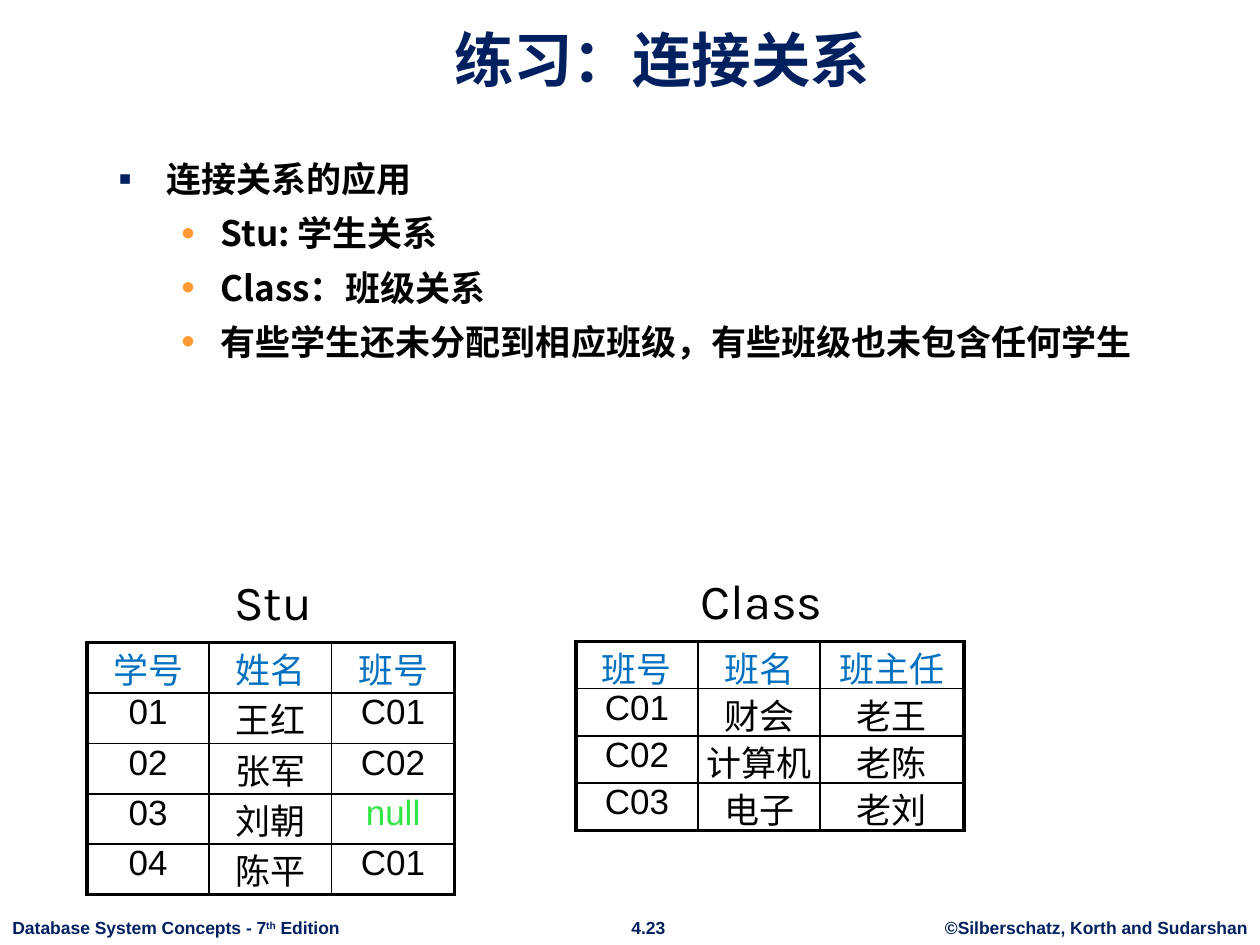
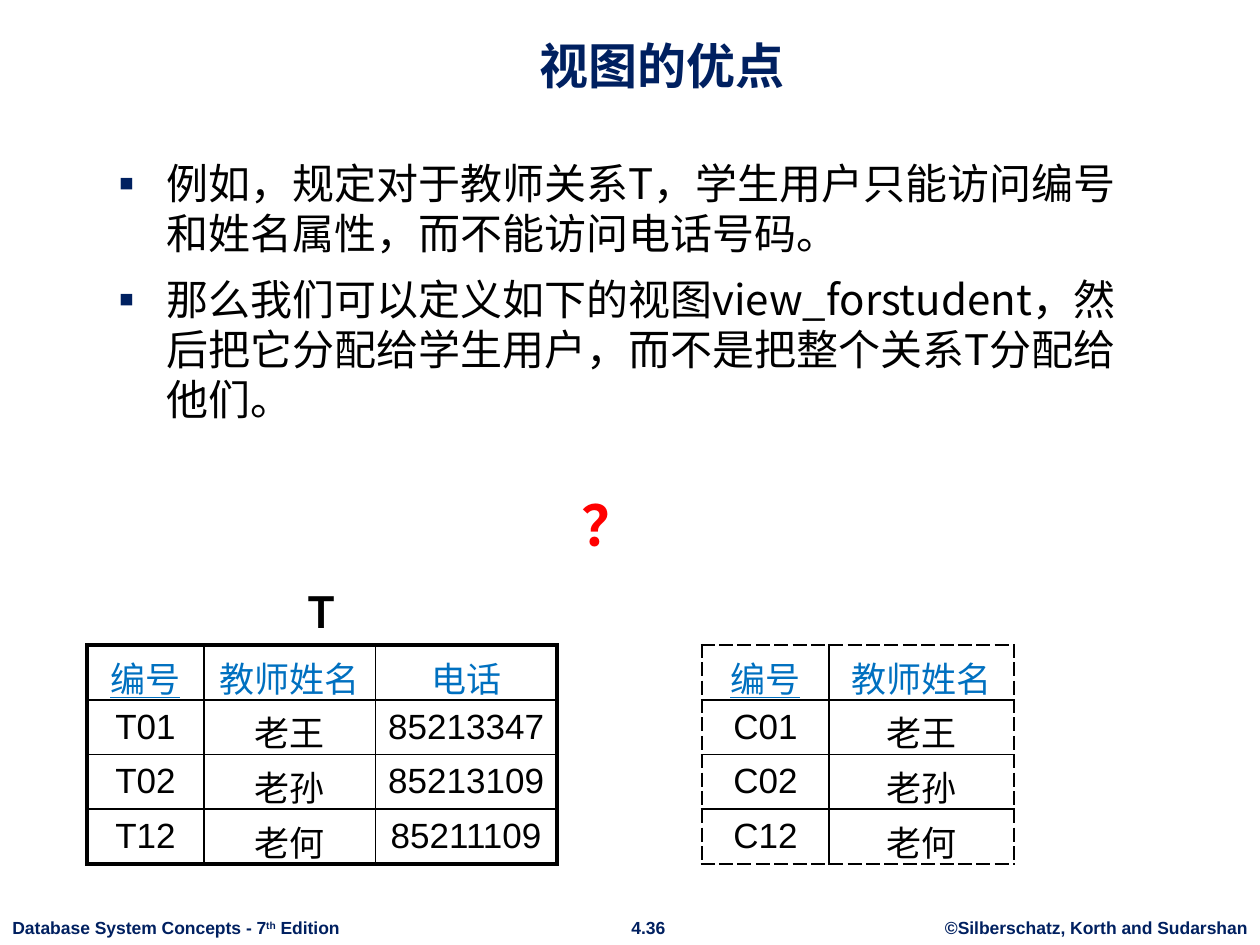
from pptx import Presentation
from pptx.dml.color import RGBColor
from pptx.enum import text as t
from pptx.oxml import ns, parse_xml
from pptx.util import Inches, Pt

# Shared look
NAVY = RGBColor(0x00, 0x20, 0x60)
BLUE = RGBColor(0x00, 0x70, 0xC0)
ORANGE = RGBColor(0xFF, 0x99, 0x33)
GREEN = RGBColor(0x30, 0xE4, 0x44)
RED = RGBColor(0xFF, 0x00, 0x00)
BLACK = RGBColor(0x00, 0x00, 0x00)
WHITE = RGBColor(0xFF, 0xFF, 0xFF)
ARIAL, KARLA, NOTO = "Arial", "Karla", "Noto Sans CJK SC"
CENTER = t.PP_ALIGN.CENTER

# Bullet sign, colour, left margin and hanging indent for each list level
LEVELS = [("▪", NAVY, 0.38, 0.38), ("•", ORANGE, 0.81, 0.31)]


def xml(markup):
    return parse_xml(markup.replace(" ", f" {ns.nsdecls('a')} ", 1))


def style(para, size, font, color, bold=False, align=None):
    if align is not None:
        para.alignment = align
    for span in para.runs:
        span.font.size, span.font.name, span.font.bold = Pt(size), font, bold
        span.font.color.rgb = color


def place(shape, box):
    shape.left, shape.top, shape.width, shape.height = map(Inches, box)


def add_label(page, box, words, size, font, color, bold=False, align=CENTER, wrap=True):
    label = page.shapes.add_textbox(*map(Inches, box))
    label.text_frame.word_wrap = wrap
    para = label.text_frame.paragraphs[0]
    for words_part in words if isinstance(words, list) else [words]:
        para.add_run().text = words_part
    style(para, size, font, color, bold, align)
    return para


def add_footer(page, number):
    def note(left, width, words, align=CENTER):
        return add_label(page, (left, 7.23, width, 0.27), words, 10, ARIAL, NAVY,
                         True, align, wrap=False)

    note(7.4, 2.6, "©Silberschatz, Korth and Sudarshan")
    note(4.9, 0.49, number)
    edition = note(0, 2.81, ["Database System Concepts - 7", "th", " Edition"],
                   t.PP_ALIGN.LEFT)
    edition.runs[1].font._element.set("baseline", "30000")


def fill_title(page, words, size):
    title = page.shapes.title
    place(title, (0.84, 0.13, 8.83, 0.67))
    frame = title.text_frame
    frame.text = words
    frame.auto_size = t.MSO_AUTO_SIZE.NONE
    frame.vertical_anchor = t.MSO_ANCHOR.BOTTOM
    style(frame.paragraphs[0], size, ARIAL, NAVY, True, CENTER)


def fill_list(page, items, size, bold=False):
    body = page.placeholders[1]
    place(body, (0.84, 1.2, 8.43, 5.36))
    frame = body.text_frame
    frame.text = "\n".join(words for _, words in items)
    frame.auto_size = t.MSO_AUTO_SIZE.NONE
    for para, (level, _) in zip(frame.paragraphs, items):
        sign, color, margin, hang = LEVELS[level]
        para.level = level
        para.space_before = Pt(0.35 * size)
        style(para, size, NOTO, BLACK, bold, t.PP_ALIGN.LEFT)
        props = para._p.get_or_add_pPr()
        props.set("marL", str(Inches(margin)))
        props.set("indent", str(-Inches(hang)))
        for markup in (f'<a:buClr ><a:srgbClr val="{color}"/></a:buClr>',
                       '<a:buSzPct val="110000"/>',
                       '<a:buFont typeface="Arial"/>',
                       f'<a:buChar char="{sign}"/>'):
            props.append(xml(markup))
        for span in para.runs:
            span.font._element.append(xml(f'<a:ea typeface="{NOTO}"/>'))


def set_borders(cell, outer_sides, outer_width, dash):
    props = cell._tc.get_or_add_tcPr()
    for spot, side in enumerate("LRTB"):
        outer = side in outer_sides
        width = Pt(outer_width if outer else 1)
        props.insert(spot, xml(
            f'<a:ln{side} w="{width}"><a:solidFill><a:srgbClr val="{BLACK}"/></a:solidFill>'
            f'<a:prstDash val="{dash if outer else "solid"}"/></a:ln{side}>'))


def add_relation(page, left, top, widths, row_height, rows, inset=(0, 0),
                 anchor=t.MSO_ANCHOR.TOP, outer_width=2.25, dash="solid", key=None):
    """Table with a blue heading row and a heavier outer frame."""
    count = len(rows)
    table = page.shapes.add_table(count, len(widths), Inches(left), Inches(top),
                                  Inches(sum(widths)), Inches(row_height * count)).table
    table.horz_banding = table.first_row = False
    for column, width in zip(table.columns, widths):
        column.width = Inches(width)
    for r, row in enumerate(rows):
        table.rows[r].height = Inches(row_height)
        for c, words in enumerate(row):
            cell = table.cell(r, c)
            cell.margin_left = cell.margin_right = Inches(inset[0])
            cell.margin_top = cell.margin_bottom = Inches(inset[1])
            cell.vertical_anchor = anchor
            cell.text_frame.text = words
            para = cell.text_frame.paragraphs[0]
            color = BLUE if r == 0 else GREEN if words == "null" else BLACK
            style(para, 20, ARIAL, color, align=CENTER)
            if r == 0 and c == key:
                para.runs[0].font.underline = True
            cell.fill.solid()
            cell.fill.fore_color.rgb = WHITE
            sides = {"L": c == 0, "R": c == len(widths) - 1, "T": r == 0, "B": r == count - 1}
            set_borders(cell, [s for s in sides if sides[s]], outer_width, dash)


def start_page(deck, title, title_size, number):
    page = deck.slides.add_slide(deck.slide_layouts[1])
    add_footer(page, number)
    fill_title(page, title, title_size)
    return page


def build_join_page(deck):
    page = start_page(deck, "练习：连接关系", 34, "4.23")
    fill_list(page, [(0, "连接关系的应用"), (1, "Stu: 学生关系"), (1, "Class：班级关系"),
                     (1, "有些学生还未分配到相应班级，有些班级也未包含任何学生")], 20, True)
    # Student relation
    add_relation(page, 0.69, 5.1, [0.97, 0.97, 0.98], 0.4, [
        ("学号", "姓名", "班号"), ("01", "王红", "C01"), ("02", "张军", "C02"),
        ("03", "刘朝", "null"), ("04", "陈平", "C01")])
    add_label(page, (1.54, 4.49, 1.25, 0.57), "Stu", 28, KARLA, BLACK)
    # Class relation
    add_relation(page, 4.57, 5.09, [0.97, 0.97, 1.14], 0.375, [
        ("班号", "班名", "班主任"), ("C01", "财会", "老王"),
        ("C02", "计算机", "老陈"), ("C03", "电子", "老刘")])
    add_label(page, (5.42, 4.48, 1.25, 0.57), "Class", 28, KARLA, BLACK)


def build_view_page(deck):
    page = start_page(deck, "视图的优点", 28, "4.36")
    fill_list(page, [
        (0, "例如，规定对于教师关系T，学生用户只能访问编号和姓名属性，而不能访问电话号码。"),
        (0, "那么我们可以定义如下的视图view_forstudent，然后把它分配给学生用户，"
            "而不是把整个关系T分配给他们。")], 24)
    shared = dict(inset=(0.04, 0.05), anchor=t.MSO_ANCHOR.MIDDLE, key=0)
    # Teacher relation
    add_label(page, (1.77, 4.55, 1.56, 0.57), "T", 28, KARLA, BLACK, True)
    add_relation(page, 0.69, 5.12, [0.93, 1.36, 1.44], 0.43, [
        ("编号", "教师姓名", "电话"), ("T01", "老王", "85213347"),
        ("T02", "老孙", "85213109"), ("T12", "老何", "85211109")], **shared)
    # Dashed view of the teacher relation
    add_relation(page, 5.57, 5.12, [1.01, 1.47], 0.43, [
        ("编号", "教师姓名"), ("C01", "老王"), ("C02", "老孙"), ("C12", "老何")],
        outer_width=1.5, dash="lgDash", **shared)
    question = add_label(page, (4.51, 3.76, 0.65, 0.65), "？", 32, KARLA, RED, True, wrap=False)
    question.line_spacing = 1.15


def main():
    deck = Presentation()
    deck.slide_width, deck.slide_height = Inches(10), Inches(7.5)
    build_join_page(deck)
    build_view_page(deck)
    deck.save("out.pptx")


if __name__ == "__main__":
    main()
